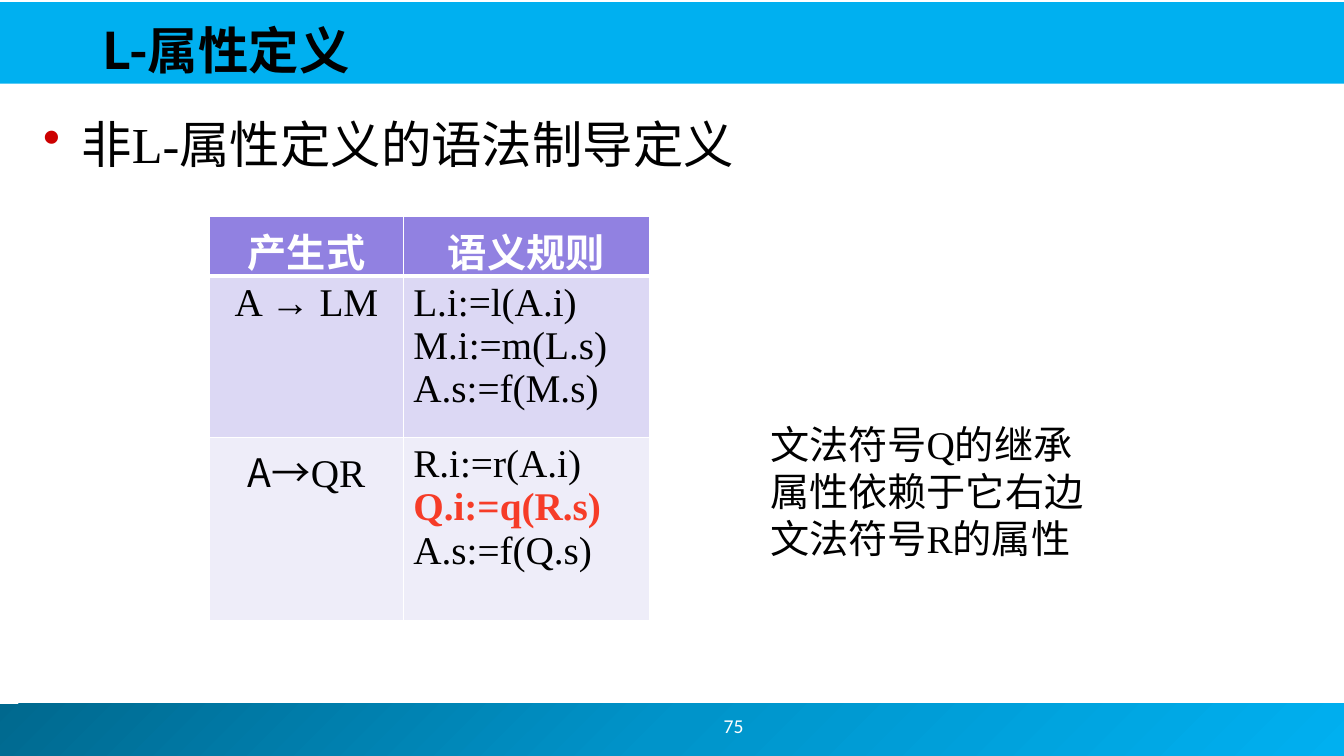
from copy import deepcopy

from lxml import etree
from pptx import Presentation
from pptx.dml.color import RGBColor
from pptx.enum.shapes import MSO_SHAPE
from pptx.enum.text import MSO_ANCHOR, PP_ALIGN
from pptx.oxml.ns import qn
from pptx.util import Inches, Pt

RECT = MSO_SHAPE.RECTANGLE
LEFT, CENTER = PP_ALIGN.LEFT, PP_ALIGN.CENTER
TOP, MIDDLE, BOTTOM = MSO_ANCHOR.TOP, MSO_ANCHOR.MIDDLE, MSO_ANCHOR.BOTTOM

SERIF, SANS, NUMBER = "Times New Roman", "Noto Sans CJK JP", "Calibri"
COLORS = {
    "black": "000000", "white": "FFFFFF", "band": "00B0F0",
    "footer_dark": "00688E", "footer_mid": "0094CA",
    "bullet": "CC0000", "alert": "F63C28",
    "head": "9181E1", "row_1": "DCD8F4", "row_2": "EEEDF9",
}


def rgb(name):
    return RGBColor.from_string(COLORS[name])


def write(p, runs, size, color="black", bold=False, align=LEFT):
    """Fill a paragraph with (text, font name) runs."""
    p.alignment = align
    p.font.size, p.font.bold = Pt(size), bold
    p.font.color.rgb = rgb(color)
    p.font.name = runs[0][1]
    for text, font in runs:
        r = p.add_run()
        r.text = text
        if font != runs[0][1]:
            r.font.name = font


def add_text(slide, box, text, font, size, anchor=TOP, **style):
    tf = slide.shapes.add_textbox(*map(Inches, box)).text_frame
    tf.word_wrap = True
    tf.vertical_anchor = anchor
    p = tf.paragraphs[0]
    write(p, [(text, font)], size, **style)
    return p


def add_band(slide, box):
    sp = slide.shapes.add_shape(RECT, *map(Inches, box))
    sp.shadow.inherit = False
    sp.line.fill.background()
    return sp


def add_header(slide, box, title):
    x, y, w, h = box
    fill = add_band(slide, box).fill
    fill.solid()
    fill.fore_color.rgb = rgb("band")
    add_text(slide, (x + 0.94, y + 0.03, w - 1.39, h - 0.02), title, SANS, 36,
             BOTTOM, bold=True)


def add_footer(slide, box, number):
    x, y, w, h = box
    sp = add_band(slide, box)
    sp.fill.gradient()
    sp.fill.gradient_angle = 315
    # A third stop between the two default ones
    stops = sp._element.spPr.find(".//" + qn("a:gsLst"))
    stops.insert(1, deepcopy(stops[0]))
    names = ("footer_dark", "footer_mid", "band")
    for i, (stop, name) in enumerate(zip(sp.fill.gradient_stops, names)):
        stop.position = i / 2
        stop.color.rgb = rgb(name)
    add_text(slide, (x + 5.88, y - 0.03, 2.89, h - 0.02), number, NUMBER, 14,
             MIDDLE, color="white", align=CENTER)


def add_bullet(slide, box, text):
    p = add_text(slide, box, text, SERIF, 36)
    pPr = p._p.get_or_add_pPr()
    indent = Inches(0.38)
    pPr.set("marL", str(indent))
    pPr.set("indent", str(-indent))
    # Bullet colour and character come before the default run properties
    color = etree.Element(qn("a:buClr"))
    etree.SubElement(color, qn("a:srgbClr"), val=COLORS["bullet"])
    char = etree.Element(qn("a:buChar"), char="•")
    pPr.insert(0, color)
    pPr.insert(1, char)


def set_borders(cell, top, bottom):
    tcPr = cell._tc.get_or_add_tcPr()
    widths = (("a:lnL", 1), ("a:lnR", 1), ("a:lnT", top), ("a:lnB", bottom))
    for i, (tag, width) in enumerate(widths):
        ln = etree.Element(qn(tag), w=str(Pt(width)))
        fill = etree.SubElement(ln, qn("a:solidFill"))
        etree.SubElement(fill, qn("a:srgbClr"), val=COLORS["white"])
        tcPr.insert(i, ln)


def add_rules_table(slide, box, col_widths, row_heights, rows):
    """Each row is a pair of cells; a cell is a list of paragraphs."""
    frame = slide.shapes.add_table(len(rows), len(col_widths),
                                   *map(Inches, box))
    table = frame.table
    table.first_row = table.horz_banding = False
    for col, width in zip(table.columns, col_widths):
        col.width = Inches(width)
    for i, (height, row) in enumerate(zip(row_heights, rows)):
        table.rows[i].height = Inches(height)
        for j, paragraphs in enumerate(row):
            cell = table.cell(i, j)
            cell.fill.solid()
            cell.fill.fore_color.rgb = rgb(("head", "row_1", "row_2")[i])
            set_borders(cell, 3 if i == 1 else 1, 3 if i == 0 else 1)
            align = CENTER if i == 0 or j == 0 else LEFT
            tf = cell.text_frame
            for k, (runs, color, bold) in enumerate(paragraphs):
                p = tf.add_paragraph() if k else tf.paragraphs[0]
                write(p, runs, 28, color, bold, align)


def head(text):
    return [([(text, SANS)], "white", True)]


def rules(*lines, alert=None):
    return [([(line, SERIF)], "alert" if line == alert else "black",
             line == alert) for line in lines]


def main():
    prs = Presentation()
    prs.slide_width, prs.slide_height = Inches(13.33), Inches(7.5)
    slide = prs.slides.add_slide(prs.slide_layouts[6])

    add_footer(slide, (-0.05, 6.98, 13.39, 0.52), "75")
    add_header(slide, (-0.02, 0.02, 13.36, 0.81), "L-属性定义")
    add_bullet(slide, (0.33, 1.07, 9.33, 0.67), "非L-属性定义的语法制导定义")

    # Productions and their semantic rules
    add_rules_table(slide, (2.08, 2.15, 4.36, 4.01), (1.92, 2.44),
                    (0.59, 1.6, 1.82), [
        (head("产生式"), head("语义规则")),
        (rules("A → LM"),
         rules("L.i:=l(A.i)", "M.i:=m(L.s)", "A.s:=f(M.s)")),
        ([([("A→", SANS), ("QR", SERIF)], "black", False)],
         rules("R.i:=r(A.i)", "Q.i:=q(R.s)", "A.s:=f(Q.s)",
               alert="Q.i:=q(R.s)")),
    ])

    # Remark beside the offending rule
    add_text(slide, (7.54, 4.12, 3.5, 1.51),
             "文法符号Q的继承属性依赖于它右边文法符号R的属性", SERIF, 28)
    prs.save("out.pptx")


if __name__ == "__main__":
    main()
